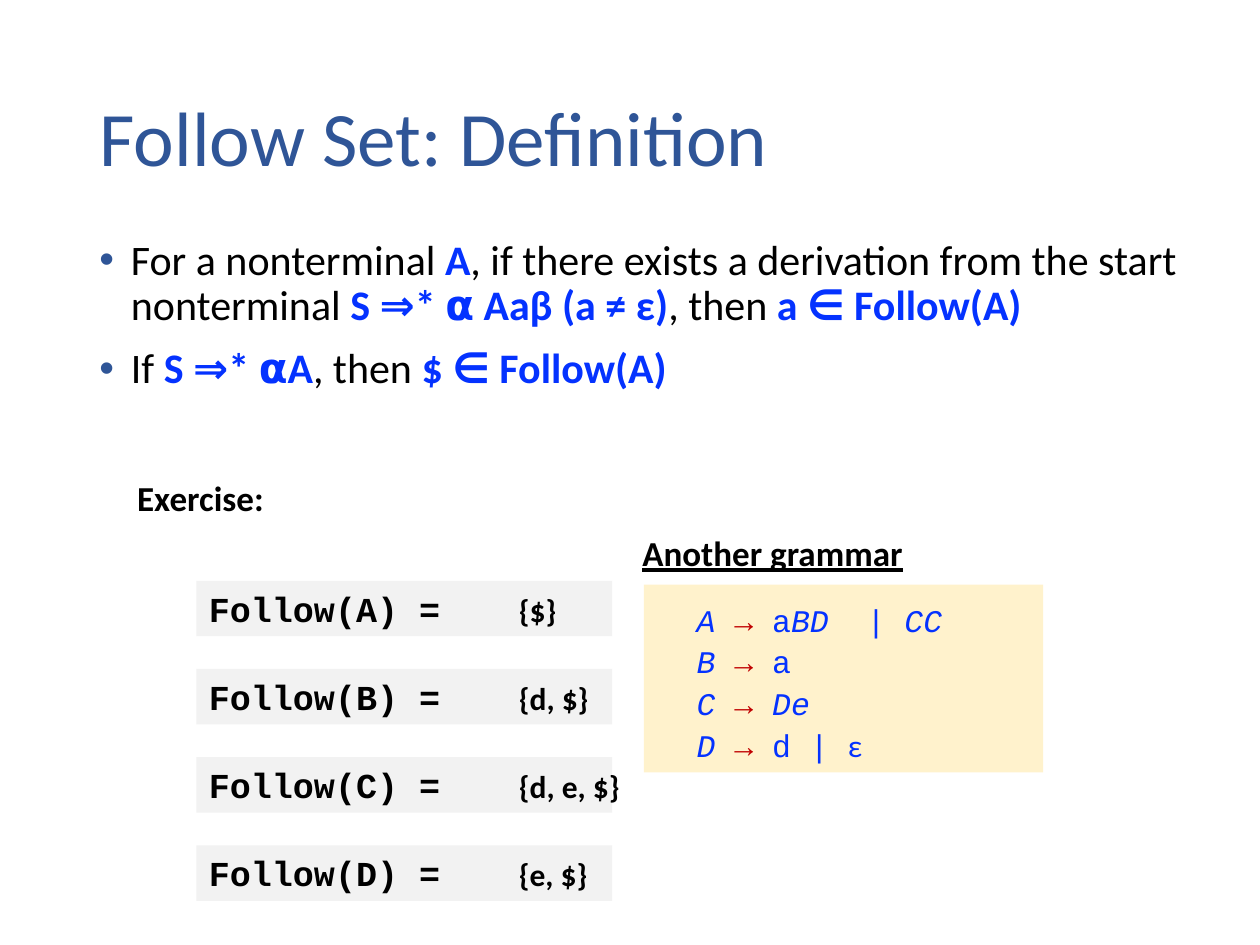
"""Build the slide that defines the Follow set, with an exercise."""
from dataclasses import dataclass

from lxml import etree
from pptx import Presentation
from pptx import util as u
from pptx.dml.color import RGBColor
from pptx.enum import shapes, text
from pptx.oxml import ns


@dataclass(frozen=True)
class Theme:
    """Colours, fonts and type sizes of the slide."""
    heading: str = "2F5597"
    ink: str = "000000"
    blue: str = "0432FF"
    red: str = "C00000"
    grey: str = "F2F2F2"
    cream: str = "FFF2CC"
    sans: str = "Calibri"
    mono: str = "Courier New"
    title: int = 44
    body: int = 24
    label: int = 20
    small: int = 18


THEME = Theme()
PLAIN = {"color": THEME.ink}
KEY = {"color": THEME.blue, "bold": True}
TERMINAL = {"color": THEME.blue}
VARIABLE = {"color": THEME.blue, "italic": True}
ARROW = {"color": THEME.red}
EPSILON = {"color": THEME.blue, "font": THEME.sans}

DEFINITIONS = [
    [("For a nonterminal ", PLAIN), ("A", KEY),
     (", if there exists a derivation from the start nonterminal ", PLAIN),
     ("S ⇒* ⍺ Aaβ (a ≠ ε)", KEY), (", then ", PLAIN), ("a ∈ Follow(A)", KEY)],
    [("If", PLAIN), (" S ⇒* ⍺A", KEY), (", then ", PLAIN), ("$ ∈ Follow(A)", KEY)],
]
GRAMMAR = [
    [("A ", VARIABLE), ("→", ARROW), (" a", TERMINAL), ("BD  ", VARIABLE),
     ("| ", TERMINAL), ("CC", VARIABLE)],
    [("B ", VARIABLE), ("→", ARROW), (" a", TERMINAL)],
    [("C ", VARIABLE), ("→ ", ARROW), ("De", VARIABLE)],
    [("D ", VARIABLE), ("→", ARROW), (" d | ", TERMINAL), ("ε", EPSILON)],
]
ANSWERS = {"A": "{$}", "B": "{d, $}", "C": "{d, e, $}", "D": "{e, $}"}


def style_span(span, size, font=THEME.sans, color=THEME.ink, bold=False,
               italic=False, underline=False):
    """Format one run."""
    span.font.size = u.Pt(size)
    span.font.name = font
    span.font.color.rgb = RGBColor.from_string(color)
    span.font.bold = bold
    span.font.italic = italic
    span.font.underline = underline


def add_bullet(para):
    """Give a paragraph a hanging, coloured bullet."""
    props = para._p.get_or_add_pPr()
    props.set("marL", str(u.Inches(0.25)))
    props.set("indent", str(u.Inches(-0.25)))
    tint = etree.SubElement(props, ns.qn("a:buClr"))
    etree.SubElement(tint, ns.qn("a:srgbClr"), val=THEME.heading)
    etree.SubElement(props, ns.qn("a:buFont"), typeface="Arial")
    etree.SubElement(props, ns.qn("a:buChar"), char="•")


def add_text(page, left, top, width, height, wrap=True):
    """Add an empty text box and return its frame."""
    box = page.shapes.add_textbox(*map(u.Inches, (left, top, width, height)))
    box.text_frame.word_wrap = wrap
    return box.text_frame


def add_rich_text(frame, lines, size, font, line_spacing, gap=0, bullets=False):
    """Fill a frame with paragraphs made of styled spans."""
    for index, line in enumerate(lines):
        para = frame.add_paragraph() if index else frame.paragraphs[0]
        if bullets:
            add_bullet(para)
        para.line_spacing = line_spacing
        if index and gap:
            para.space_before = u.Pt(gap)
        for words, style in line:
            span = para.add_run()
            span.text = words
            style_span(span, size, **{"font": font, **style})


def add_label(page, words, left, top, width, height, size, underline=False):
    """Add a one-line bold label."""
    frame = add_text(page, left, top, width, height, wrap=False)
    frame.text = words
    style_span(frame.paragraphs[0].runs[0], size, bold=True, underline=underline)


def add_panel(page, left, top, width, height, fill):
    """Add a flat filled rectangle."""
    panel = page.shapes.add_shape(
        shapes.MSO_SHAPE.RECTANGLE, *map(u.Inches, (left, top, width, height)))
    panel.shadow.inherit = False
    panel.fill.solid()
    panel.fill.fore_color.rgb = RGBColor.from_string(fill)
    panel.line.fill.background()
    return panel


def add_title(page, words):
    """Place and format the title."""
    title = page.shapes.title
    title.left, title.top, title.width, title.height = map(
        u.Inches, (0.69, 0.4, 8.62, 1.45))
    frame = title.text_frame
    frame.text = words
    frame.vertical_anchor = text.MSO_ANCHOR.MIDDLE
    para = frame.paragraphs[0]
    para.alignment = text.PP_ALIGN.LEFT
    para.line_spacing = 0.9
    style_span(para.runs[0], THEME.title, color=THEME.heading)


def add_exercise_row(page, symbol, answer, top):
    """Add one Follow panel with its answer."""
    panel = add_panel(page, 1.56, top, 3.3, 0.44, THEME.grey)
    frame = panel.text_frame
    frame.text = f"Follow({symbol}) ="
    frame.vertical_anchor = text.MSO_ANCHOR.TOP
    para = frame.paragraphs[0]
    para.alignment = text.PP_ALIGN.LEFT
    style_span(para.runs[0], THEME.label, font=THEME.mono, bold=True)
    add_label(page, answer, 4.02, top + 0.03, 1, 0.4, THEME.small)


def main():
    """Build and save the deck."""
    deck = Presentation()
    deck.slide_width, deck.slide_height = u.Inches(10), u.Inches(7.5)
    page = deck.slides.add_slide(deck.slide_layouts[5])
    add_title(page, "Follow Set: Definition")
    add_rich_text(add_text(page, 0.69, 1.85, 9.31, 1.86), DEFINITIONS,
                  THEME.body, THEME.sans, 0.9, gap=10, bullets=True)
    add_label(page, "Exercise:", 0.99, 3.73, 1.22, 0.44, THEME.label)
    add_label(page, "Another grammar", 5, 4.17, 2.29, 0.44, THEME.label,
              underline=True)
    add_panel(page, 5.11, 4.64, 3.17, 1.49, THEME.cream)
    add_rich_text(add_text(page, 5.43, 4.69, 2.85, 1.43), GRAMMAR,
                  THEME.small, THEME.mono, 1.1)
    for row, (symbol, answer) in enumerate(ANSWERS.items()):
        add_exercise_row(page, symbol, answer, 4.61 + 0.7 * row)
    deck.save("out.pptx")


if __name__ == "__main__":
    main()
